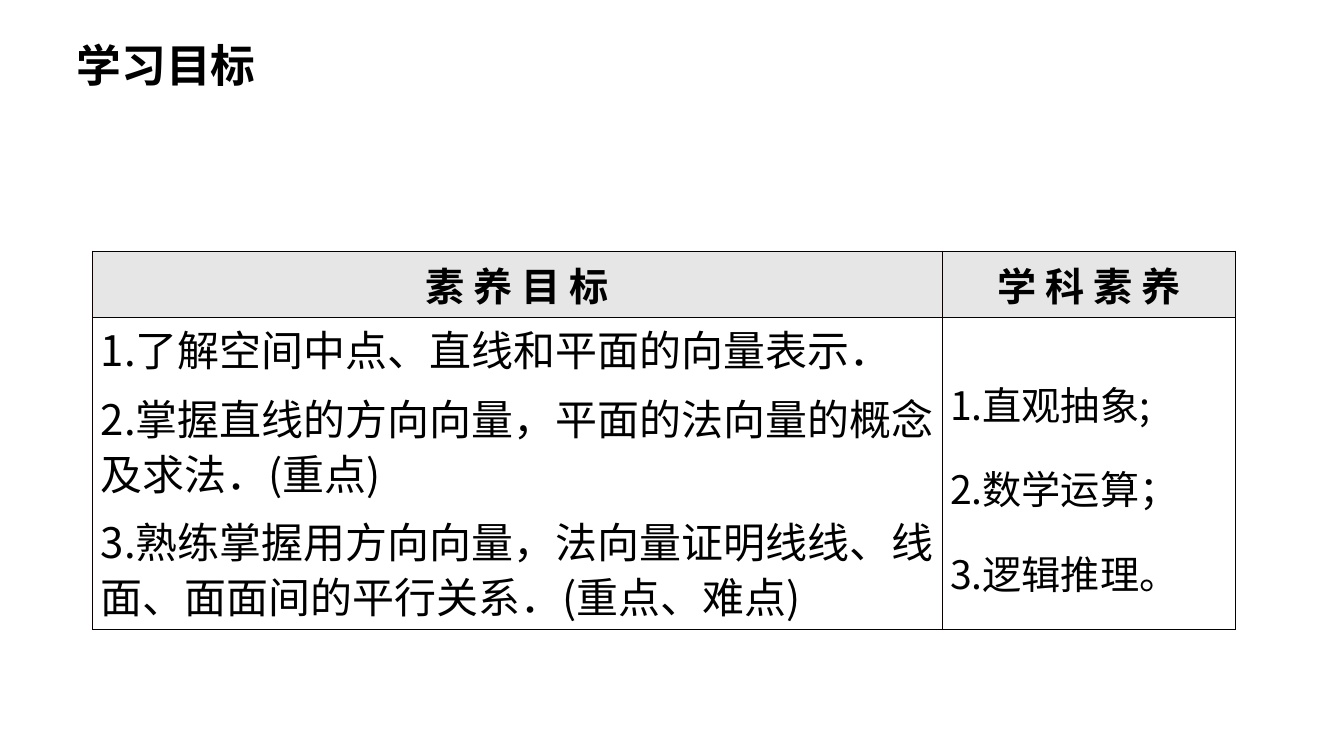
from dataclasses import dataclass

from lxml.etree import SubElement as Sub
from pptx import Presentation
from pptx.dml.color import RGBColor as RGB
from pptx.enum.text import MSO_ANCHOR as Anchor, MSO_AUTO_SIZE as Fit, PP_ALIGN as Align
from pptx.oxml import parse_xml
from pptx.oxml.ns import nsdecls, qn
from pptx.util import Inches, Pt


# Colours, font and type sizes
@dataclass(frozen=True)
class Theme:
    font: str = "Noto Sans CJK SC"
    ink: str = "000000"
    rule: str = "080000"
    head: str = "E6E6E6"
    paper: str = "FFFFFF"
    title: int = 32
    label: int = 28
    goal: int = 30
    line: float = 0.45


THEME = Theme()

HEADS = ["素 养 目 标", "学 科 素 养"]
GOALS = [
    "1.了解空间中点、直线和平面的向量表示．",
    "2.掌握直线的方向向量，平面的法向量的概念及求法．(重点)",
    "3.熟练掌握用方向向量，法向量证明线线、线面、面面间的平行关系．(重点、难点)",
]
SKILLS = ["1.直观抽象;", "2.数学运算；", "3.逻辑推理。"]


def apply(item, values):
    for name, value in values.items():
        setattr(item, name, value)


# Text: one paragraph per line, with gaps only between paragraphs
def write(frame, lines, size, bold=False, gap=0, **form):
    for i, line in enumerate(lines):
        para = frame.paragraphs[0] if i == 0 else frame.add_paragraph()
        apply(para, form)
        if i and gap:
            para.space_before = Pt(gap)
        run = para.add_run()
        run.text = line
        apply(run.font, {"name": THEME.font, "size": Pt(size), "bold": bold})
        run.font.color.rgb = RGB.from_string(THEME.ink)
        Sub(run.font._element, qn("a:ea"), typeface=THEME.font)


# Cell: fill, thin borders and margins
def dress(cell, fill):
    cell.fill.solid()
    cell.fill.fore_color.rgb = RGB.from_string(fill)
    apply(cell, {
        "vertical_anchor": Anchor.MIDDLE,
        "margin_left": Inches(0.08), "margin_right": Inches(0.08),
        "margin_top": Inches(0.05), "margin_bottom": Inches(0.05),
    })
    props = cell._tc.get_or_add_tcPr()
    for i, side in enumerate("LRTB"):
        props.insert(i, parse_xml(
            f'<a:ln{side} {nsdecls("a")} w="{Pt(THEME.line)}"><a:solidFill>'
            f'<a:srgbClr val="{THEME.rule}"/></a:solidFill></a:ln{side}>'))


def add_title(slide):
    title = slide.shapes.title
    apply(title, {"left": Inches(0.24), "top": Inches(0.06),
                  "width": Inches(2.82), "height": Inches(0.9)})
    apply(title.text_frame, {"word_wrap": True, "auto_size": Fit.NONE,
                             "vertical_anchor": Anchor.TOP})
    write(title.text_frame, ["学习目标"], THEME.title, True,
          alignment=Align.CENTER, line_spacing=1.5)


def add_goals(slide):
    table = slide.shapes.add_table(
        2, 2, Inches(0.92), Inches(2.49), Inches(11.34), Inches(3)).table
    for col, width in zip(table.columns, (8.43, 2.91)):
        col.width = Inches(width)
    for row, height in zip(table.rows, (0.47, 2.53)):
        row.height = Inches(height)

    # Header row
    for i, head in enumerate(HEADS):
        cell = table.cell(0, i)
        dress(cell, THEME.head)
        write(cell.text_frame, [head], THEME.label, True, alignment=Align.CENTER)

    # Goals and skills
    body = [(GOALS, THEME.goal, 10, 0.9), (SKILLS, THEME.label, 0, 1.5)]
    for i, (lines, size, gap, space) in enumerate(body):
        cell = table.cell(1, i)
        dress(cell, THEME.paper)
        write(cell.text_frame, lines, size, gap=gap,
              alignment=Align.LEFT, line_spacing=space)


def main():
    deck = Presentation()
    apply(deck, {"slide_width": Inches(13.34), "slide_height": Inches(7.5)})
    slide = deck.slides.add_slide(deck.slide_layouts[5])
    add_goals(slide)
    add_title(slide)
    deck.save("out.pptx")


if __name__ == "__main__":
    main()
